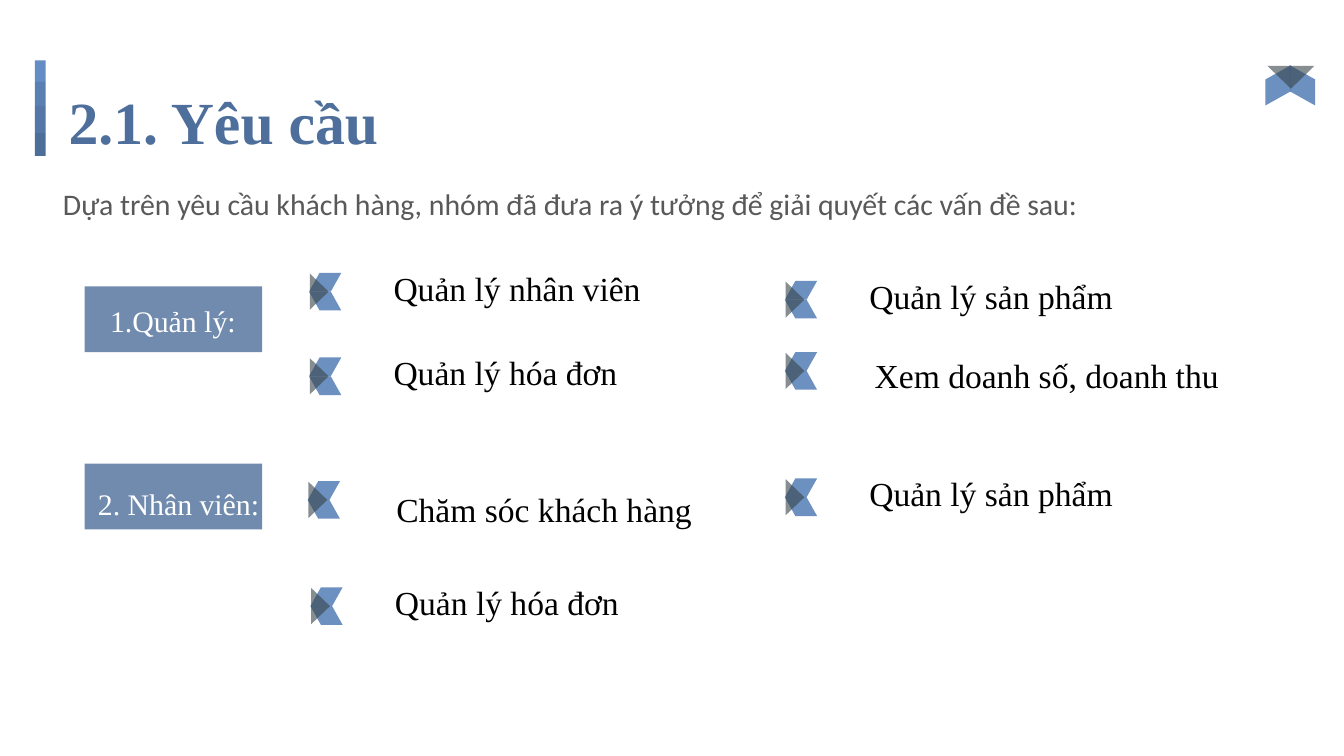
from dataclasses import dataclass

from lxml import etree
from pptx import Presentation
from pptx.dml.color import RGBColor
from pptx.enum.shapes import MSO_SHAPE
from pptx.enum.text import MSO_ANCHOR, MSO_AUTO_SIZE, PP_ALIGN
from pptx.oxml.ns import qn
from pptx.util import Inches, Pt

RECT = MSO_SHAPE.RECTANGLE
PARALLELOGRAM = MSO_SHAPE.PARALLELOGRAM
TRIANGLE = MSO_SHAPE.ISOSCELES_TRIANGLE
TOP, MIDDLE = MSO_ANCHOR.TOP, MSO_ANCHOR.MIDDLE
LEFT = PP_ALIGN.LEFT
NO_AUTOFIT = MSO_AUTO_SIZE.NONE
SERIF, SANS = "Times New Roman", "Calibri"
WHITE, BLACK, GRAY = "FFFFFF", "000000", "595959"
RIBBON, FOLD, LABEL, TITLE = "5E85B9", "38444A", "4E6E9A", "4E6F9B"
TITLE_ONLY = 5
SLIDE_WIDTH = 10


@dataclass
class Box:
    left: float
    top: float
    width: float
    height: float

    def lengths(self) -> list:
        return [Inches(v) for v in (self.left, self.top, self.width, self.height)]


@dataclass
class Role:
    label: str
    label_top: float
    text_box: Box
    indent: float


@dataclass
class Task:
    text: str
    left: float
    top: float
    indented_box: Box | None = None

    def text_box(self) -> Box:
        return self.indented_box or Box(self.left + 0.53, self.top - 0.06, 2.23, 0.34)


def color(hex_code: str) -> RGBColor:
    return RGBColor.from_string(hex_code)


def add_filled(shapes, kind, box: Box, fill: str, opacity: int = 100,
               rotation: int = 0, flip: bool = False, adjust: float | None = None) -> None:
    shape = shapes.add_shape(kind, *box.lengths())
    shape.shadow.inherit = False
    shape.line.fill.background()
    shape.fill.solid()
    shape.fill.fore_color.rgb = color(fill)
    shape.rotation = rotation
    if adjust is not None:
        shape.adjustments[0] = adjust
    if flip:
        shape.element.spPr.find(qn("a:xfrm")).set("flipH", "1")
    if opacity < 100:
        fill_color = shape.element.spPr.find(qn("a:solidFill"))[0]
        etree.SubElement(fill_color, qn("a:alpha")).set("val", str(opacity * 1000))


def write(shape, text: str, *, size: float, font: str = SERIF, fill: str = BLACK,
          bold: bool = False, anchor=TOP, spacing: float = 1.0,
          after: float = 0, indent: float = 0) -> None:
    frame = shape.text_frame
    frame.word_wrap = True
    frame.auto_size = NO_AUTOFIT
    frame.vertical_anchor = anchor
    frame.margin_left = frame.margin_right = Inches(0.1)
    frame.margin_top = frame.margin_bottom = Inches(0.1)
    paragraph = frame.paragraphs[0]
    paragraph.alignment = LEFT
    paragraph.line_spacing = spacing
    paragraph.space_before = Pt(0)
    paragraph.space_after = Pt(after)
    if indent:
        properties = paragraph._p.get_or_add_pPr()
        properties.set("marL", "0")
        properties.set("indent", str(Inches(indent)))
    run = paragraph.add_run()
    run.text = text
    run.font.size = Pt(size)
    run.font.name = font
    run.font.bold = bold
    run.font.color.rgb = color(fill)


def add_text(slide, box: Box, text: str, **text_format) -> None:
    write(slide.shapes.add_textbox(*box.lengths()), text, **text_format)


def add_ribbon(slide, halves: list[Box], fold: Box, rotation: int) -> None:
    """Two mirrored bands with a dark fold over their joint."""
    shapes = slide.shapes.add_group_shape().shapes
    for half, flip in zip(halves, (False, True)):
        add_filled(shapes, PARALLELOGRAM, half, RIBBON, 91, rotation, flip, 0.56)
    add_filled(shapes, TRIANGLE, fold, FOLD, 60, rotation + 90, adjust=0.5)


def add_task(slide, task: Task) -> None:
    halves = [Box(task.left, task.top + dy, 0.24, 0.14) for dy in (0, 0.14)]
    fold = Box(task.left - 0.06, task.top + 0.07, 0.27, 0.14)
    add_ribbon(slide, halves, fold, 0)
    indented = task.indented_box is not None
    add_text(slide, task.text_box(), task.text, size=18, anchor=MIDDLE,
             spacing=1.5 if indented else 1.0, indent=0.5 if indented else 0)


def add_role(slide, role: Role) -> None:
    add_filled(slide.shapes, RECT, Box(0.63, role.label_top, 1.32, 0.49), LABEL, 80)
    add_text(slide, role.text_box, role.label, size=16, fill=WHITE,
             spacing=1.5, indent=role.indent)


ACCENT_BARS = [(0.45, 0.16, "648DC6"), (0.61, 0.18, "5A7FB3"),
               (0.79, 0.2, "5477A7"), (0.99, 0.17, LABEL)]
ROLES = [
    Role("1.Quản lý:", 2.13, Box(-0.06, 2.02, 2.12, 1.21), 0.78),
    Role("2. Nhân viên:", 3.45, Box(0.13, 3.38, 2.22, 1.21), 0.5),
]
TASKS = [
    Task("Quản lý nhân viên", 2.3, 2.03),
    Task("Quản lý hóa đơn", 2.3, 2.66),
    Task("Quản lý sản phẩm", 5.84, 2.09),
    Task("Xem doanh số, doanh thu", 5.84, 2.62, Box(5.91, 2.5, 3.34, 0.43)),
    Task("Chăm sóc khách hàng", 2.29, 3.58, Box(2.35, 3.45, 2.91, 0.52)),
    Task("Quản lý hóa đơn", 2.31, 4.37),
    Task("Quản lý sản phẩm", 5.84, 3.56),
]


def main() -> None:
    deck = Presentation()
    deck.slide_width = Inches(SLIDE_WIDTH)
    deck.slide_height = Inches(SLIDE_WIDTH * 9 / 16)
    slide = deck.slides.add_slide(deck.slide_layouts[TITLE_ONLY])

    # Heading with its accent bar and corner ribbon
    for top, height, fill in ACCENT_BARS:
        add_filled(slide.shapes, RECT, Box(0.26, top, 0.08, height), fill)
    title = slide.shapes.title
    title.left, title.top, title.width, title.height = Box(0.41, 0.49, 9.25, 0.63).lengths()
    write(title, "2.1. Yêu cầu", size=32, fill=TITLE, bold=True, spacing=1.07, after=8)
    add_text(slide, Box(0.37, 1.24, 9.25, 0.43),
             "Dựa trên yêu cầu khách hàng, nhóm đã đưa ra ý tưởng để giải quyết các vấn đề sau:",
             size=16, font=SANS, fill=GRAY, spacing=1.15, after=16)
    add_ribbon(slide, [Box(left, 0.54, 0.3, 0.19) for left in (9.54, 9.36)],
               Box(9.43, 0.49, 0.35, 0.17), 90)

    # Roles and their tasks
    for role in ROLES:
        add_role(slide, role)
    for task in TASKS:
        add_task(slide, task)

    deck.save("out.pptx")


if __name__ == "__main__":
    main()
